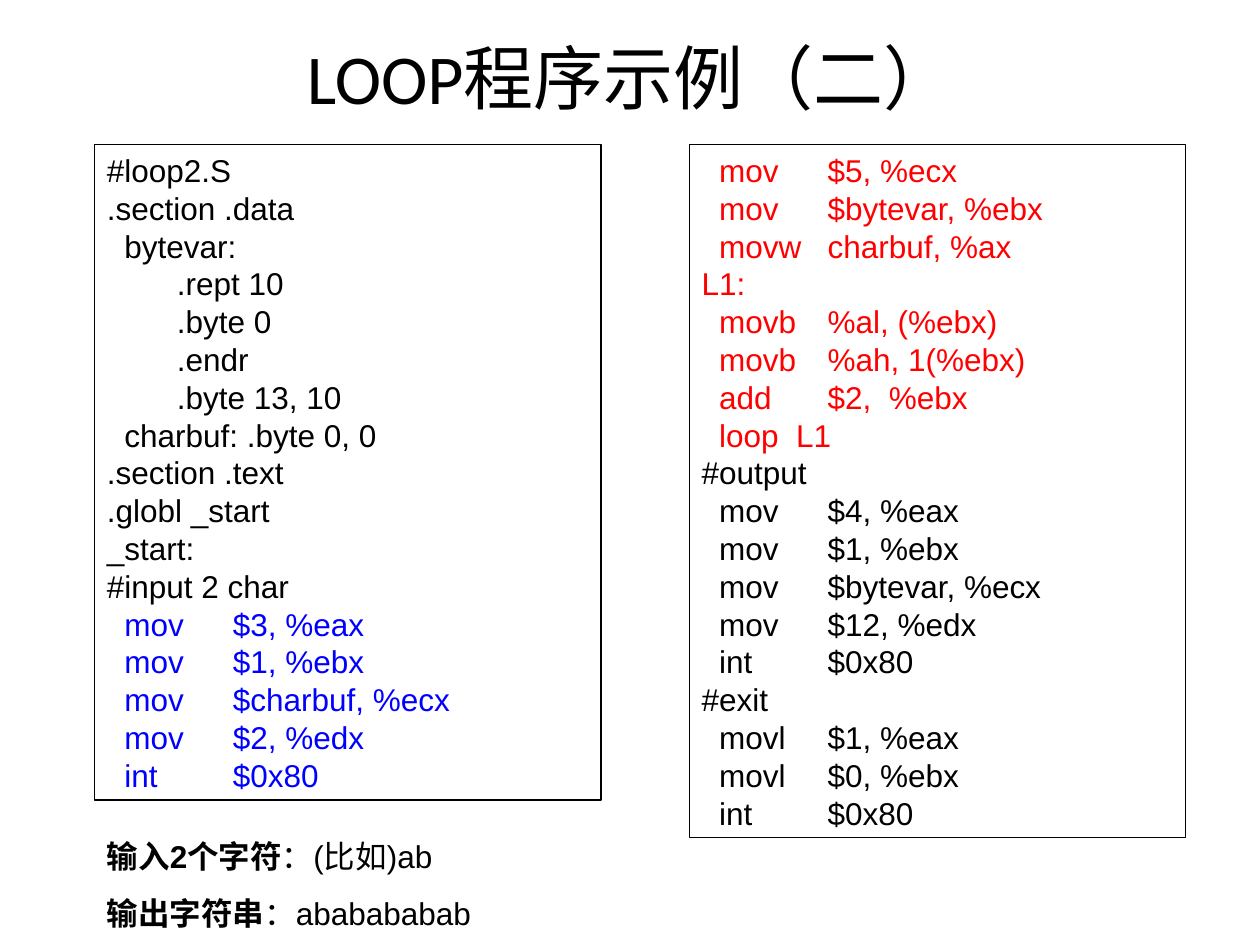
from lxml import etree
from pptx import Presentation
from pptx.dml.color import RGBColor
from pptx.enum import text
from pptx.oxml.ns import qn
from pptx.util import Inches, Pt

BLACK = RGBColor(0x00, 0x00, 0x00)
BLUE = RGBColor(0x00, 0x00, 0xFF)
RED = RGBColor(0xFF, 0x00, 0x00)

DATA_SECTION = """#loop2.S
.section .data
  bytevar:
        .rept 10
        .byte 0
        .endr
        .byte 13, 10
  charbuf: .byte 0, 0
.section .text
.globl _start
_start:
#input 2 char"""
READ_INPUT = """  mov\t$3, %eax
  mov\t$1, %ebx
  mov\t$charbuf, %ecx
  mov\t$2, %edx
  int\t$0x80"""
FILL_LOOP = """  mov\t$5, %ecx
  mov\t$bytevar, %ebx
  movw\tcharbuf, %ax
L1:
  movb\t%al, (%ebx)
  movb\t%ah, 1(%ebx)
  add\t$2,  %ebx
  loop  L1"""
OUTPUT_AND_EXIT = """#output
  mov\t$4, %eax
  mov\t$1, %ebx
  mov\t$bytevar, %ecx
  mov\t$12, %edx
  int\t$0x80
#exit
  movl\t$1, %eax
  movl\t$0, %ebx
  int\t$0x80"""


def add_box(left, top, width, height):
    sp = slide.shapes.add_textbox(Inches(left), Inches(top), Inches(width), Inches(height))
    sp.text_frame.word_wrap = True
    sp.text_frame.auto_size = text.MSO_AUTO_SIZE.SHAPE_TO_FIT_TEXT
    return sp


def add_line(tf, index, color=BLACK):
    p = tf.add_paragraph() if index else tf.paragraphs[0]
    p.font.name, p.font.size = "Arial", Pt(18)
    p.font.color.rgb = color
    return p


prs = Presentation()
prs.slide_width, prs.slide_height = Inches(10), Inches(7.5)
slide = prs.slides.add_slide(prs.slide_layouts[5])

# Title
title = slide.shapes.title
title.left, title.top = Inches(0.5), Inches(0.3)
title.width, title.height = Inches(9), Inches(0.61)
tf = title.text_frame
tf.auto_size = text.MSO_AUTO_SIZE.NONE
tf.vertical_anchor = text.MSO_ANCHOR.MIDDLE
p = tf.paragraphs[0]
p.text = "LOOP程序示例（二）"
p.alignment = text.PP_ALIGN.CENTER
p.font.name, p.font.size = "Calibri", Pt(40)
p.font.color.rgb = BLACK

# Code listings, with operands on a one-inch tab stop
listings = [
    (0.75, 4.02, 5.2, [(DATA_SECTION, BLACK), (READ_INPUT, BLUE)]),
    (5.47, 3.94, 5.5, [(FILL_LOOP, RED), (OUTPUT_AND_EXIT, BLACK)]),
]
for left, width, height, blocks in listings:
    sp = add_box(left, 1.15, width, height)
    sp.line.color.rgb = BLACK
    sp.line.width = Pt(0.75)
    lines = [(line, color) for code, color in blocks for line in code.splitlines()]
    for i, (line, color) in enumerate(lines):
        p = add_line(sp.text_frame, i, color)
        # A run keeps the tab character inside the code line
        p.add_run().text = line
        tabs = etree.Element(qn("a:tabLst"))
        etree.SubElement(tabs, qn("a:tab"), pos=str(Inches(1)), algn="l")
        p.font._element.addprevious(tabs)

# Sample input and output
sp = add_box(0.75, 6.59, 3.94, 0.86)
samples = [("输入2个字符", "：(比如)ab"), ("输出字符串", "：ababababab")]
for i, (label, value) in enumerate(samples):
    p = add_line(sp.text_frame, i)
    p.space_before = Pt(11.2)
    r = p.add_run()
    r.text = label
    r.font.bold = True
    p.add_run().text = value

prs.save("out.pptx")
